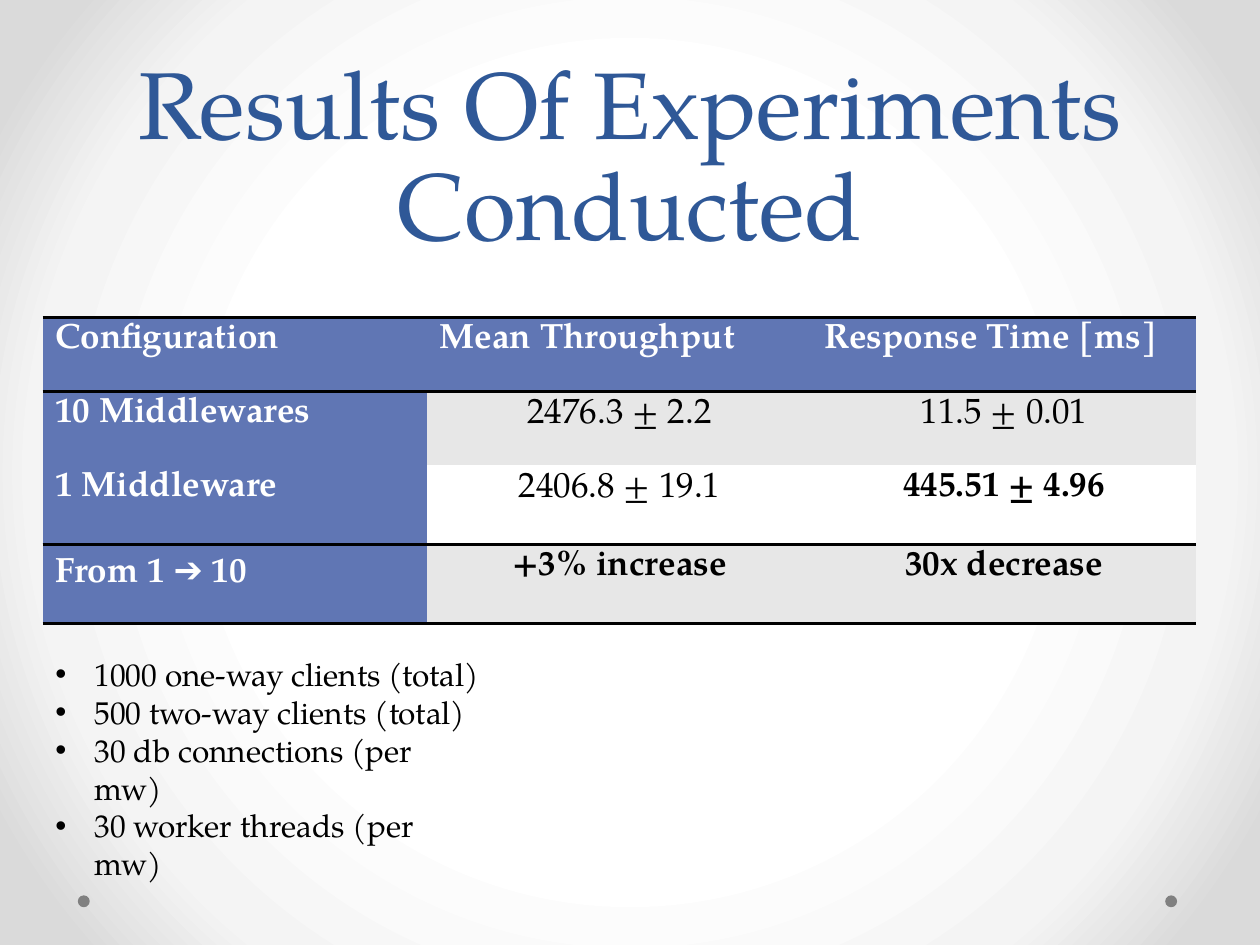
from dataclasses import dataclass

from lxml.etree import SubElement
from pptx import Presentation
from pptx.dml.color import RGBColor
from pptx.enum.shapes import MSO_SHAPE as Preset
from pptx.enum.text import MSO_ANCHOR as Anchor, MSO_AUTO_SIZE as AutoSize, PP_ALIGN as Align
from pptx.oxml import parse_xml
from pptx.oxml.ns import nsdecls, qn
from pptx.util import Cm, Pt


@dataclass(frozen=True)
class Theme:
    """Colours, fonts and type sizes of the deck."""
    title: str = "2F5897"
    accent: str = "6076B4"
    band: str = "E7E7E7"
    light: str = "FFFFFF"
    ink: str = "000000"
    dot: str = "808080"
    font: str = "TeX Gyre Pagella"
    symbol_font: str = "Arial"
    title_size: int = 54
    table_size: int = 20
    list_size: int = 18
    backdrop: tuple = ((50, "FFFFFF"), (76, "F4F4F4"), (92, "DADADA"))


@dataclass(frozen=True)
class Box:
    """A region of the page in centimetres."""
    left: float
    top: float
    width: float
    height: float

    def place(self, shape):
        """Move a shape into this region."""
        shape.left, shape.top = Cm(self.left), Cm(self.top)
        shape.width, shape.height = Cm(self.width), Cm(self.height)


THEME = Theme()
NO_STYLE = "{2D5ABB26-0587-4C30-8999-92F81FD0307C}"


def add_span(para, text, size, color, bold=False, font=THEME.font):
    """Add one formatted run to a paragraph."""
    span = para.add_run()
    span.text = text
    span.font.name, span.font.size, span.font.bold = font, Pt(size), bold
    span.font.color.rgb = RGBColor.from_string(color)


def add_backdrop(page, box):
    """Paint the radial background and the two footer dots."""
    stops = "".join(
        f'<a:gs pos="{place * 1000}"><a:srgbClr val="{color}"/></a:gs>'
        for place, color in THEME.backdrop)
    page.background.fill.solid()
    properties = page.background._cSld.bg.bgPr
    properties.replace(properties[0], parse_xml(
        f'<a:gradFill {nsdecls("a")} rotWithShape="1"><a:gsLst>{stops}</a:gsLst>'
        '<a:path path="circle"><a:fillToRect l="50000" t="50000" r="50000" b="50000"/>'
        '</a:path></a:gradFill>'))
    for left in (box.left, box.left + box.width - box.height):
        dot = page.shapes.add_shape(
            Preset.OVAL, Cm(left), Cm(box.top), Cm(box.height), Cm(box.height))
        dot.shadow.inherit = False
        dot.fill.solid()
        dot.fill.fore_color.rgb = RGBColor.from_string(THEME.dot)
        dot.line.fill.background()


def fill_title(page, box, lines):
    """Set the title lines in the title placeholder."""
    title = page.shapes.title
    box.place(title)
    frame = title.text_frame
    frame.auto_size, frame.vertical_anchor = AutoSize.NONE, Anchor.BOTTOM
    para = frame.paragraphs[0]
    para.alignment, para.line_spacing = Align.CENTER, Pt(58)
    for index, line in enumerate(lines):
        if index:
            para.add_line_break()
        add_span(para, line, THEME.title_size, THEME.title)


def rule_cell(cell, sides, points):
    """Draw black rules on the named sides of a filled cell."""
    properties = cell._tc.get_or_add_tcPr()
    for index, side in enumerate(sides):
        properties.insert(index, parse_xml(
            f'<a:ln{side} {nsdecls("a")} w="{Pt(points)}"><a:solidFill>'
            f'<a:srgbClr val="{THEME.ink}"/></a:solidFill></a:ln{side}>'))


def add_results(page, box, rows, heights, header):
    """Add a results table, optionally with a header row."""
    count = len(rows[0])
    table = page.shapes.add_table(
        len(rows), count, Cm(box.left), Cm(box.top), Cm(box.width), Cm(box.height)).table
    table.first_row = table.horz_banding = False
    table._tbl.tblPr.find(qn("a:tableStyleId")).text = NO_STYLE
    for column in table.columns:
        column.width = Cm(box.width / count)
    for row, texts in enumerate(rows):
        table.rows[row].height = Cm(heights[row])
        heading = header and row == 0
        for column, parts in enumerate(texts):
            cell = table.cell(row, column)
            label = heading or column == 0
            plain = THEME.light if row == 2 else THEME.band
            cell.fill.solid()
            cell.fill.fore_color.rgb = RGBColor.from_string(THEME.accent if label else plain)
            para = cell.text_frame.paragraphs[0]
            para.alignment = Align.LEFT if label else Align.CENTER
            for text, bold in parts:
                add_span(para, text, THEME.table_size, THEME.light if label else THEME.ink,
                         bold, THEME.symbol_font if text == "➔" else THEME.font)
            if row == 0:
                rule_cell(cell, "TB", 2)
            elif row == len(rows) - 1:
                rule_cell(cell, "B", 1)


def fill_list(page, box, items):
    """Set the bulleted setup notes in the body placeholder."""
    body = page.placeholders[1]
    box.place(body)
    frame = body.text_frame
    frame.auto_size, frame.vertical_anchor, frame.word_wrap = AutoSize.NONE, Anchor.TOP, True
    for index, item in enumerate(items):
        para = frame.add_paragraph() if index else frame.paragraphs[0]
        para.space_before = Pt(0)
        properties = para._p.get_or_add_pPr()
        properties.set("marL", str(Cm(0.79)))
        properties.set("indent", str(-Cm(0.79)))
        SubElement(properties, qn("a:buFont"), typeface=THEME.symbol_font)
        SubElement(properties, qn("a:buChar"), char="•")
        add_span(para, item, THEME.list_size, THEME.ink)


def main():
    """Build the results slide."""
    deck = Presentation()
    deck.slide_width, deck.slide_height = Cm(25.4), Cm(19.05)
    page = deck.slides.add_slide(deck.slide_layouts[1])
    add_backdrop(page, Box(1.57, 18.05, 22.16, 0.24))
    fill_title(page, Box(1.27, 0, 22.86, 5.36), ["Results Of Experiments", "Conducted"])
    add_results(page, Box(0.86, 10.97, 23.26, 1.6), [
        [[("From 1 ", True), ("➔", True), (" 10", True)],
         [("+3% increase", True)], [("30x decrease", True)]],
    ], [1.6], header=False)
    add_results(page, Box(0.86, 6.4, 23.26, 4.57), [
        [[("Configuration", True)], [("Mean Throughput", True)], [("Response Time [ms]", True)]],
        [[("10 Middlewares", True)], [("2476.3 ± 2.2", False)], [("11.5 ± 0.01", False)]],
        [[("1 Middleware", True)], [("2406.8 ± 19.1", False)], [("445.51 ± 4.96", True)]],
    ], [1.49, 1.49, 1.59], header=True)
    fill_list(page, Box(0.86, 13.08, 9.09, 3.33), [
        "1000 one-way clients (total)", "500 two-way clients (total)",
        "30 db connections (per mw)", "30 worker threads (per mw)"])
    deck.save("out.pptx")


if __name__ == "__main__":
    main()
